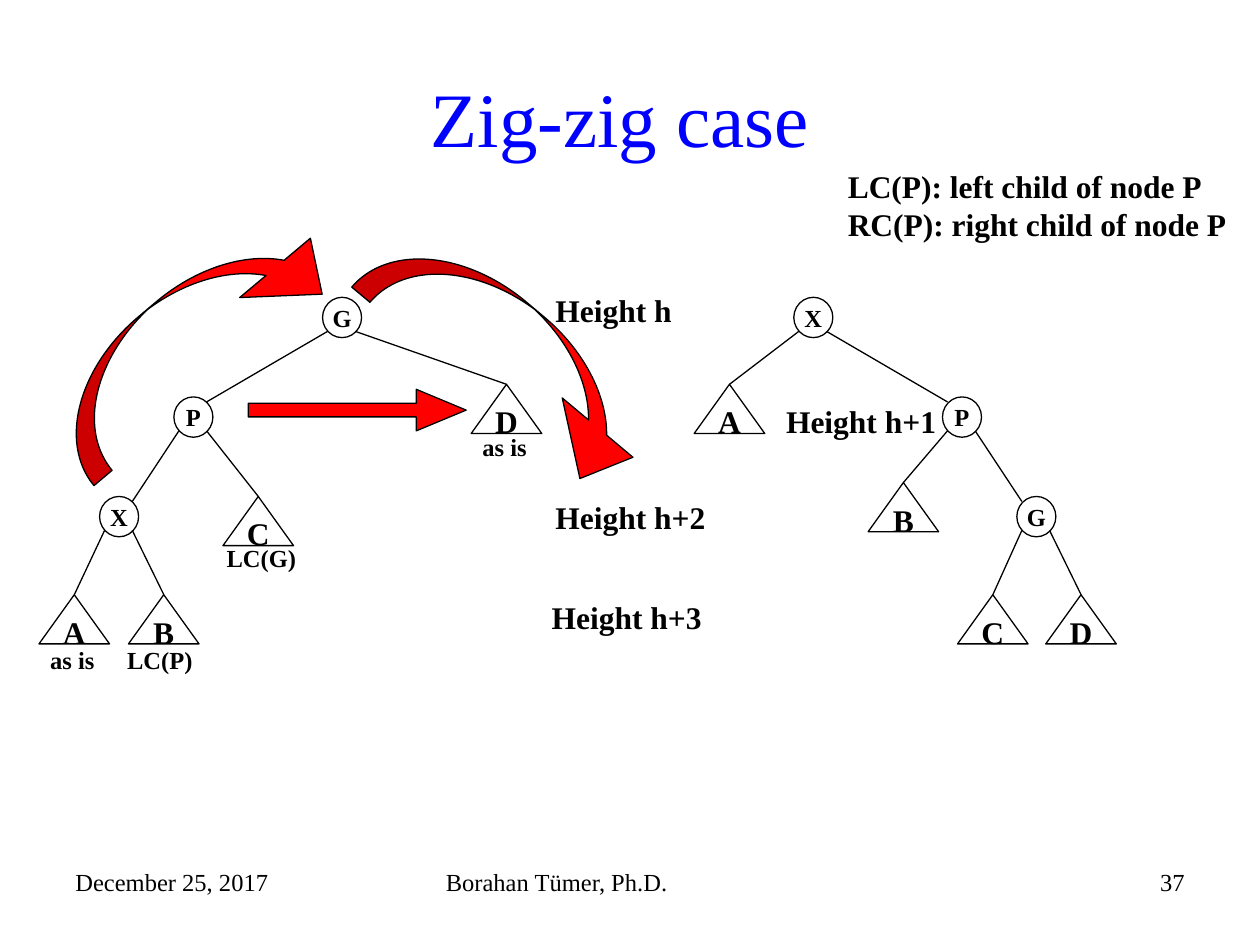
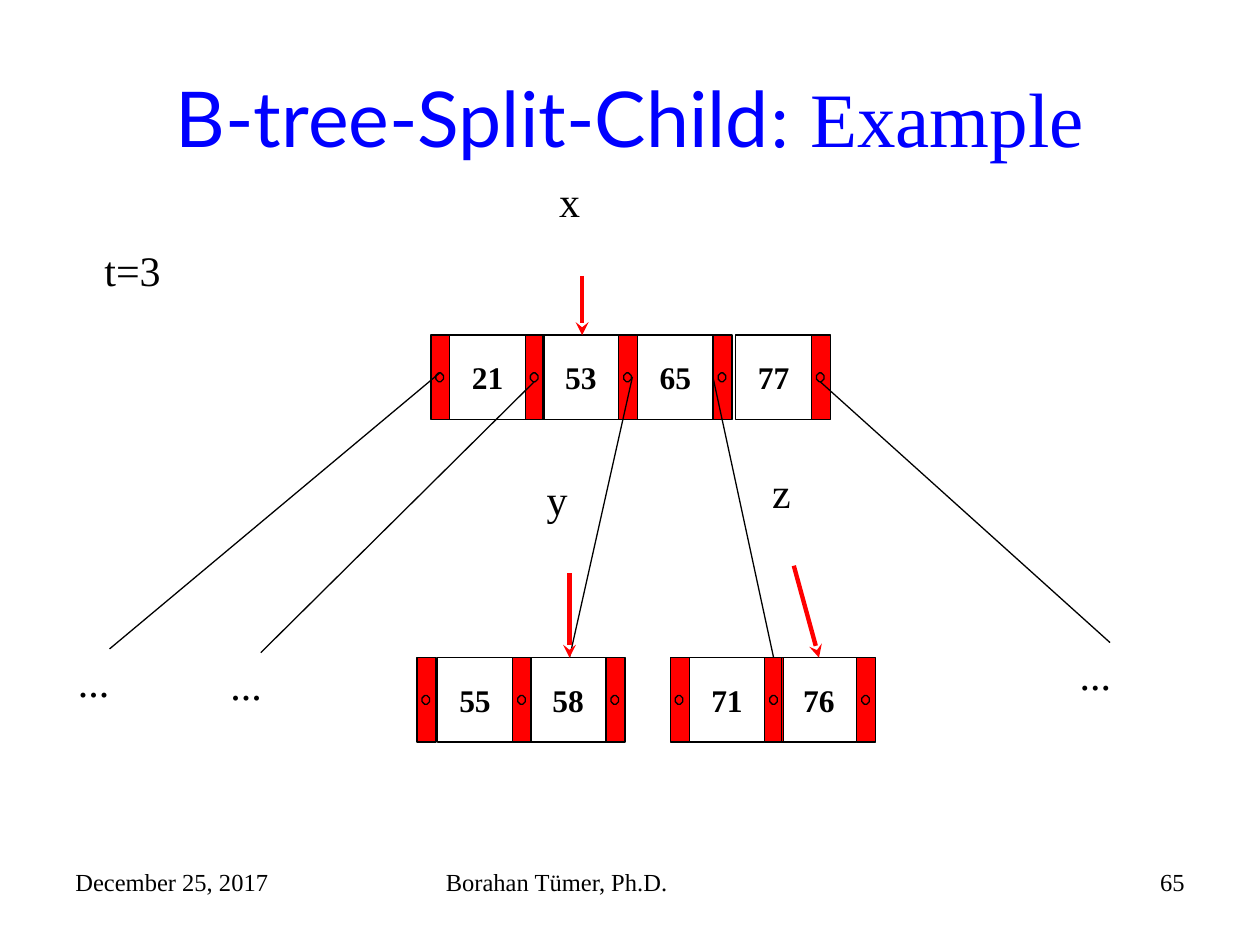
from dataclasses import dataclass

from lxml import etree
from pptx import Presentation
from pptx.dml.color import RGBColor
from pptx.enum import shapes as kinds, text as txt
from pptx.oxml.ns import qn
from pptx.util import Inches, Pt


@dataclass(frozen=True)
class Theme:
    ink: str = "000000"
    title: str = "0000FF"
    accent: str = "FF0000"
    serif: str = "Times New Roman"
    sans: str = "Lato"
    title_size: float = 44
    label_size: float = 24
    key_size: float = 18
    small_size: float = 14
    thin: float = 0.75
    thick: float = 2.5


THEME = Theme()
SHAPE = kinds.MSO_SHAPE
ALIGN = txt.PP_ALIGN
ANCHOR = txt.MSO_ANCHOR

# Node geometry of the splay trees
CIRCLE = (0.31, 0.32)
TRIANGLE = (0.56, 0.39)
NEAR, FAR, LOW = 0.04, 0.26, 0.27

# Cell geometry of the B-tree nodes
KEY_WIDTH, POINTER_WIDTH, CELL_HEIGHT = 0.6, 0.15, 0.67


def inches(*lengths):
    return [Inches(length) for length in lengths]


def write(frame, text, size=THEME.key_size, bold=False, color=THEME.ink,
          font=THEME.serif, align=ALIGN.LEFT, anchor=ANCHOR.TOP, wrap=False,
          margin=None):
    """Fill a text frame; text is a string or a list of (string, font) runs."""
    frame.word_wrap = wrap
    frame.vertical_anchor = anchor
    if margin is not None:
        frame.margin_left = frame.margin_right = Inches(margin)
        frame.margin_top = frame.margin_bottom = Inches(margin)
    lines = [[(line, font)] for line in text.split("\n")] if isinstance(text, str) else [text]
    for index, line in enumerate(lines):
        paragraph = frame.add_paragraph() if index else frame.paragraphs[0]
        paragraph.alignment = align
        for words, face in line:
            run = paragraph.add_run()
            run.text = words
            run.font.name, run.font.size, run.font.bold = face, Pt(size), bold
            run.font.color.rgb = RGBColor.from_string(color)


def add_label(slide, left, top, width, height, text, **form):
    label = slide.shapes.add_textbox(*inches(left, top, width, height))
    write(label.text_frame, text, **form)


def add_outlined(parent, kind, left, top, width, height, fill=None):
    outlined = parent.shapes.add_shape(kind, *inches(left, top, width, height))
    outlined.shadow.inherit = False
    if fill:
        outlined.fill.solid()
        outlined.fill.fore_color.rgb = RGBColor.from_string(fill)
    else:
        outlined.fill.background()
    outlined.line.color.rgb = RGBColor.from_string(THEME.ink)
    outlined.line.width = Pt(THEME.thin)
    return outlined


def add_red_arrow(slide, kind, box, adjustments, rotation=0):
    arrow = add_outlined(slide, kind, *box, fill=THEME.accent)
    arrow.rotation = rotation
    for index, value in enumerate(adjustments):
        arrow.adjustments[index] = value


def add_line(slide, start, end, color=THEME.ink, width=THEME.thin, arrow=False):
    line = slide.shapes.add_connector(kinds.MSO_CONNECTOR.STRAIGHT, *inches(*start, *end))
    line.line.color.rgb = RGBColor.from_string(color)
    line.line.width = Pt(width)
    properties = line._element.spPr
    if arrow:
        etree.SubElement(properties.find(qn("a:ln")), qn("a:tailEnd"), type="stealth")
    etree.SubElement(properties, qn("a:effectLst"))


def add_page(deck, title_runs, number):
    """Add a slide with the shared title and footer."""
    slide = deck.slides.add_slide(deck.slide_layouts[5])
    title = slide.shapes.title
    title.left, title.top, title.width, title.height = inches(0.5, 0.3, 9, 1.25)
    write(title.text_frame, title_runs, size=THEME.title_size, color=THEME.title,
          align=ALIGN.CENTER, anchor=ANCHOR.MIDDLE, wrap=True)
    footer = [(0.5, 2.33, "December 25, 2017", ALIGN.LEFT),
              (3.44, 3.17, "Borahan Tümer, Ph.D.", ALIGN.LEFT),
              (7.17, 2.33, str(number), ALIGN.RIGHT)]
    for left, width, text, align in footer:
        add_label(slide, left, 6.83, width, 0.52, text, size=THEME.small_size,
                  align=align, wrap=True)
    return slide


def add_splay_tree(slide, places, children):
    """Draw parents as circles, subtrees as triangles, and the edges between."""
    for name, (left, top) in places.items():
        is_parent = name in children
        kind, size = (SHAPE.OVAL, CIRCLE) if is_parent else (SHAPE.ISOSCELES_TRIANGLE, TRIANGLE)
        node = add_outlined(slide, kind, left, top, *size)
        write(node.text_frame, name, bold=True, align=ALIGN.CENTER, anchor=ANCHOR.MIDDLE,
              size=THEME.small_size if is_parent else THEME.key_size,
              margin=0 if is_parent else None)
    for parent, pair in children.items():
        left, top = places[parent]
        for child, exit_x, entry_x in zip(pair, (NEAR, FAR), (FAR, NEAR)):
            child_left, child_top = places[child]
            if child in children:
                end = (child_left + entry_x, child_top + NEAR)
            else:
                end = (child_left + TRIANGLE[0] / 2, child_top)
            add_line(slide, (left + exit_x, top + LOW), end)


def add_btree_node(slide, top, pointers, keys):
    """Draw the pointer cells, with each key ending at the pointer after it."""
    for left in pointers:
        cell = slide.shapes.add_group_shape()
        add_outlined(cell, SHAPE.RECTANGLE, left, top, POINTER_WIDTH, CELL_HEIGHT,
                     fill=THEME.accent)
        dot = add_outlined(cell, SHAPE.OCTAGON, left + 0.04, top + 0.3, 0.06, 0.07,
                           fill=THEME.accent)
        dot.adjustments[0] = 0.35
    for key, next_pointer in zip(keys, pointers[1:]):
        cell = add_outlined(slide, SHAPE.RECTANGLE, next_pointer - KEY_WIDTH, top,
                            KEY_WIDTH, CELL_HEIGHT)
        write(cell.text_frame, str(key), bold=True, align=ALIGN.CENTER, anchor=ANCHOR.MIDDLE)


def build_zig_zig(deck):
    slide = add_page(deck, [("Zig-zig case ", THEME.serif)], 37)

    # Trees before and after the rotations
    add_splay_tree(
        slide,
        {"G": (2.56, 2.36), "P": (1.38, 3.15), "X": (0.79, 3.94), "A": (0.31, 4.72),
         "B": (1.02, 4.72), "C": (1.77, 3.94), "D": (3.74, 3.05)},
        {"G": "PD", "P": "XC", "X": "AB"})
    add_splay_tree(
        slide,
        {"X": (6.3, 2.36), "P": (7.48, 3.15), "G": (8.07, 3.94), "A": (5.51, 3.05),
         "B": (6.89, 3.83), "C": (7.6, 4.72), "D": (8.3, 4.72)},
        {"X": "AP", "P": "BG", "G": "CD"})

    # Rotation arrows
    bend = (0.235, 0.916, 0.5)
    add_red_arrow(slide, SHAPE.CURVED_DOWN_ARROW, (0.17, 2.27, 2.73, 0.8), bend, 320)
    add_red_arrow(slide, SHAPE.RIGHT_ARROW, (1.97, 3.09, 1.73, 0.33), (0.327, 1.2))
    add_red_arrow(slide, SHAPE.CURVED_DOWN_ARROW, (2.73, 2.45, 2.73, 0.8), bend, 40)

    # Level heights and legend
    for left, top, width, text in [(4.31, 2.26, 1.19, "Height h"),
                                   (6.14, 3.14, 1.45, "Height h+1"),
                                   (4.31, 3.9, 1.45, "Height h+2"),
                                   (4.28, 4.7, 1.39, "Height h+3")]:
        add_label(slide, left, top, width, 0.4, text, bold=True)
    add_label(slide, 6.63, 1.28, 3.21, 0.7,
              "LC(P): left child of node P\nRC(P): right child of node P", bold=True)

    # Where each subtree goes
    for left, top, width, text in [(0.3, 5.07, 0.55, "as is"), (0.91, 5.07, 0.72, "LC(P)"),
                                   (1.7, 4.26, 0.75, "LC(G)"), (3.73, 3.38, 0.55, "as is")]:
        add_label(slide, left, top, width, 0.33, text, size=THEME.small_size, bold=True)


def build_split_child(deck):
    slide = add_page(deck, [("B-tree-Split-Child", THEME.sans), (": Example", THEME.serif)], 65)

    # Nodes x, y and z
    add_btree_node(slide, 2.66, (3.42, 4.17, 4.91, 5.66, 6.44), (21, 53, 65, 77))
    add_btree_node(slide, 5.22, (3.31, 4.07, 4.81), (55, 58))
    add_btree_node(slide, 5.22, (5.32, 6.07, 6.8), (71, 76))

    # Links from the root to its children
    for start, end in [((3.49, 2.96), (0.87, 5.15)), ((4.24, 3.03), (2.07, 5.18)),
                       ((5.02, 2.99), (4.52, 5.22)), ((5.66, 3), (6.14, 5.22)),
                       ((6.51, 3.03), (8.81, 5.1))]:
        add_line(slide, start, end)

    # Node names with their arrows
    for start, end in [((4.62, 2.19), (4.62, 2.66)), ((4.52, 4.55), (4.52, 5.22)),
                       ((6.3, 4.49), (6.5, 5.22))]:
        add_line(slide, start, end, color=THEME.accent, width=THEME.thick, arrow=True)
    for left, top, width, text in [(4.34, 1.34, 0.37, "x"), (4.24, 3.71, 0.37, "y"),
                                   (6.03, 3.65, 0.35, "z"), (0.73, 1.89, 0.65, "t=3"),
                                   (0.52, 5.15, 0.45, "..."), (1.73, 5.18, 0.45, "..."),
                                   (8.47, 5.1, 0.45, "...")]:
        add_label(slide, left, top, width, 0.5, text, size=THEME.label_size)


def main():
    deck = Presentation()
    deck.slide_width, deck.slide_height = inches(10, 7.5)
    build_zig_zig(deck)
    build_split_child(deck)
    deck.save("out.pptx")


if __name__ == "__main__":
    main()
